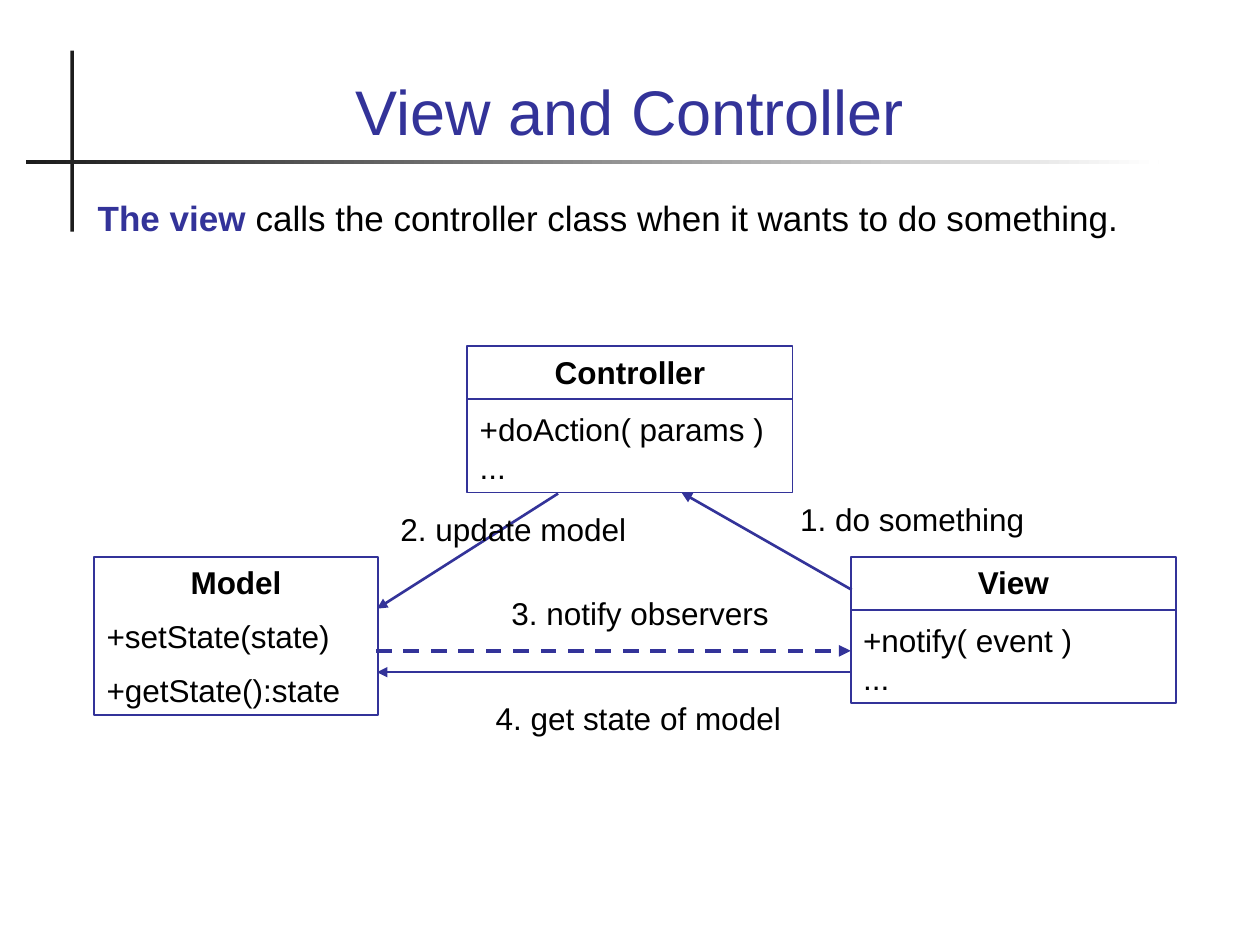
"""Build a slide on how the view and the controller of an MVC design call each other."""
from dataclasses import dataclass

from lxml import etree
from pptx import Presentation
from pptx.dml.color import RGBColor
from pptx.enum.dml import MSO_LINE
from pptx.enum.shapes import MSO_CONNECTOR, MSO_SHAPE
from pptx.enum.text import MSO_ANCHOR, PP_ALIGN
from pptx.oxml.ns import qn
from pptx.util import Cm, Pt

STRAIGHT, RECTANGLE, DASH = MSO_CONNECTOR.STRAIGHT, MSO_SHAPE.RECTANGLE, MSO_LINE.DASH
TOP, BOTTOM = MSO_ANCHOR.TOP, MSO_ANCHOR.BOTTOM
LEFT, CENTER = PP_ALIGN.LEFT, PP_ALIGN.CENTER


@dataclass(frozen=True)
class Theme:
    font: str = "Arial"
    accent: RGBColor = RGBColor(0x33, 0x33, 0x99)
    text: RGBColor = RGBColor(0, 0, 0)
    dark: RGBColor = RGBColor(0x1C, 0x1C, 0x1C)
    background: RGBColor = RGBColor(0xFF, 0xFF, 0xFF)
    title_size: float = 36
    body_size: float = 20
    body_spacing: float = 25
    diagram_size: float = 18
    diagram_spacing: float = 21.7
    outline: float = 1


THEME = Theme()

TITLE = "View and Controller"
LEAD, STATEMENT = "The view", " calls the controller class when it wants to do something."

# name, (left, top, width, height), [(member, space before)], divided
CLASSES = [
    ("Model", (1.9, 11.23, 5.72, 3.18), [("+setState(state)", 9), ("+getState():state", 9)], False),
    ("View", (17.15, 11.23, 6.56, 2.95), [("+notify( event )", 11.2), ("...", 0)], True),
    ("Controller", (9.42, 6.98, 6.56, 2.95), [("+doAction( params )", 11.2), ("...", 0)], True),
]
DIVIDER_OFFSET = 1.06

# label, label box, arrow start, arrow end, width, dashed
CALLS = [
    ("1. do something", (15.88, 9.95, 5.28, 1.02), (17.17, 11.89), (13.74, 9.93), 1.5, False),
    ("2. update model", (7.82, 10.16, 5.28, 1.02), (11.25, 9.95), (7.6, 12.27), 1.5, False),
    ("3. notify observers", (10.06, 11.85, 6.05, 1.02), (7.62, 13.12), (17.15, 13.12), 2.25, True),
    ("4. get state of model", (9.74, 13.97, 6.45, 1.02), (17.17, 13.55), (7.6, 13.55), 1.5, False),
]


def add_rectangle(slide, box):
    shape = slide.shapes.add_shape(RECTANGLE, *map(Cm, box))
    shape.shadow.inherit = False
    return shape


def add_rules(slide):
    vertical = add_rectangle(slide, (1.42, 1.02, 0.07, 3.65))
    vertical.fill.solid()
    vertical.fill.fore_color.rgb = THEME.dark
    horizontal = add_rectangle(slide, (0.53, 3.23, 22.83, 0.08))
    horizontal.fill.gradient()
    horizontal.fill.gradient_angle = 0
    for stop, color in zip(horizontal.fill.gradient_stops, (THEME.dark, THEME.background)):
        stop.color.rgb = color
    for rule in (vertical, horizontal):
        rule.line.fill.background()


def style(paragraph, size, color, bold=False, align=LEFT, spacing=None, before=0):
    paragraph.alignment = align
    paragraph.space_before = Pt(before)
    if spacing:
        paragraph.line_spacing = Pt(spacing)
    font = paragraph.font
    font.name, font.size, font.bold = THEME.font, Pt(size), bold
    font.color.rgb = color


def add_text(slide, box, text, anchor=TOP, **styling):
    frame = slide.shapes.add_textbox(*map(Cm, box)).text_frame
    frame.word_wrap = True
    frame.vertical_anchor = anchor
    paragraph = frame.paragraphs[0]
    paragraph.text = text
    style(paragraph, **styling)
    return paragraph


def add_line(slide, start, end, width):
    connector = slide.shapes.add_connector(STRAIGHT, *map(Cm, start + end))
    connector.line.color.rgb = THEME.accent
    connector.line.width = Pt(width)
    etree.SubElement(connector._element.spPr, qn("a:effectLst"))
    return connector


def add_arrow(slide, start, end, width, dashed):
    line = add_line(slide, start, end, width).line
    if dashed:
        line.dash_style = DASH
        line._ln.set("cap", "sq")
    etree.SubElement(line._ln, qn("a:tailEnd"), type="triangle")


def add_class(slide, name, box, members, divided):
    shape = add_rectangle(slide, box)
    shape.fill.background()
    shape.line.color.rgb = THEME.accent
    shape.line.width = Pt(THEME.outline)
    frame = shape.text_frame
    frame.word_wrap = True
    frame.vertical_anchor = TOP
    heading = frame.paragraphs[0]
    heading.text = name
    style(heading, THEME.diagram_size, THEME.text, True, CENTER, THEME.diagram_spacing)
    for member, before in members:
        paragraph = frame.add_paragraph()
        paragraph.text = member
        style(paragraph, THEME.diagram_size, THEME.text,
              spacing=THEME.diagram_spacing, before=before)
    if divided:
        left, top, width, _ = box
        level = top + DIVIDER_OFFSET
        add_line(slide, (left, level), (left + width, level), THEME.outline)


def main():
    presentation = Presentation()
    presentation.slide_width, presentation.slide_height = Cm(25.4), Cm(19.05)
    slide = presentation.slides.add_slide(presentation.slide_layouts[6])

    add_rules(slide)
    add_text(slide, (1.7, 0.71, 22, 2.41), TITLE, BOTTOM,
             size=THEME.title_size, color=THEME.accent, align=CENTER)
    statement = add_text(slide, (1.72, 3.81, 22, 2.34), LEAD, size=THEME.body_size,
                         color=THEME.text, spacing=THEME.body_spacing)
    lead = statement.runs[0].font
    lead.bold = True
    lead.color.rgb = THEME.accent
    statement.add_run().text = STATEMENT

    for entry in CLASSES:
        add_class(slide, *entry)
    for label, box, *arrow in CALLS:
        add_arrow(slide, *arrow)
        add_text(slide, box, label, size=THEME.diagram_size, color=THEME.text,
                 spacing=THEME.diagram_spacing)
    presentation.save("out.pptx")


if __name__ == "__main__":
    main()
